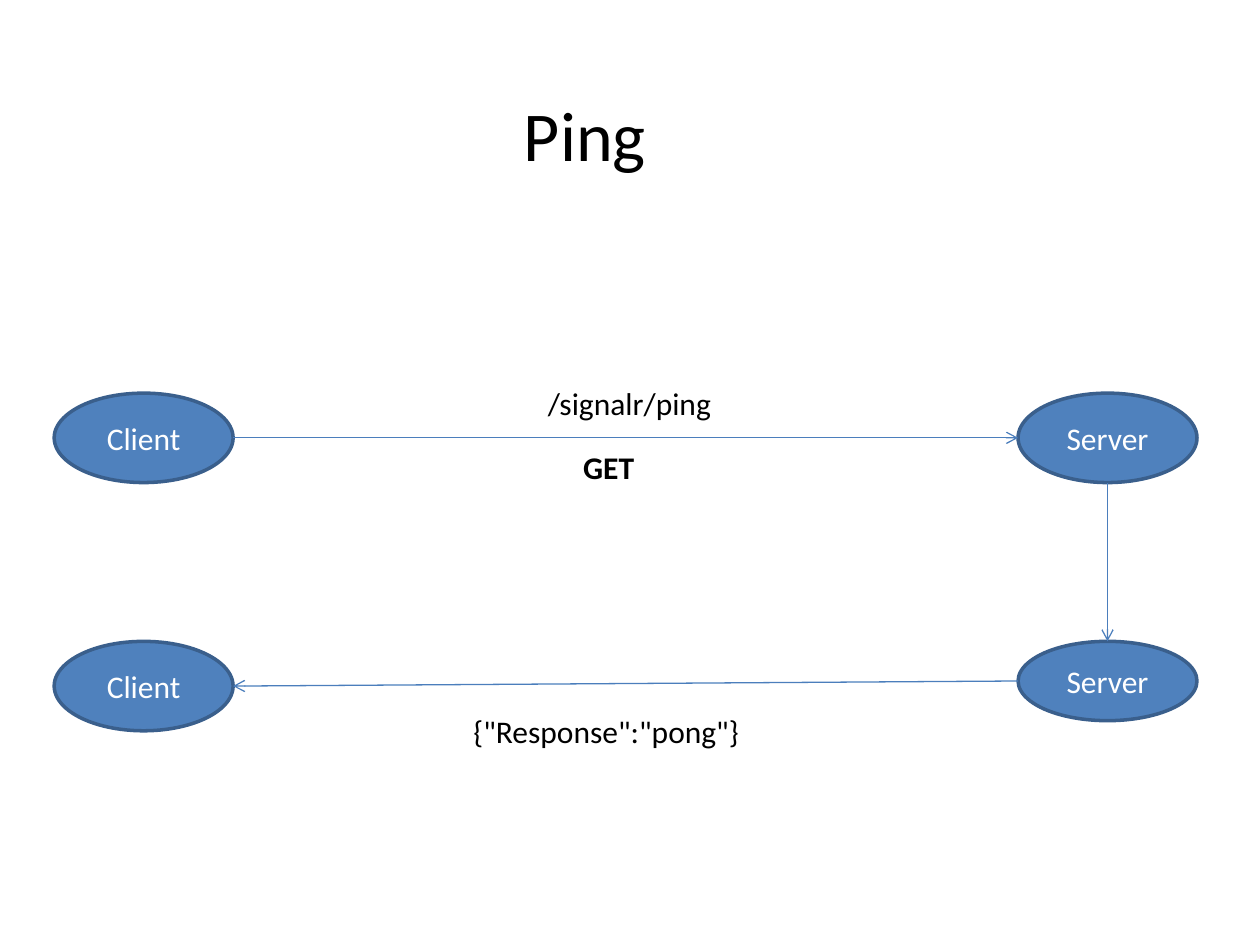
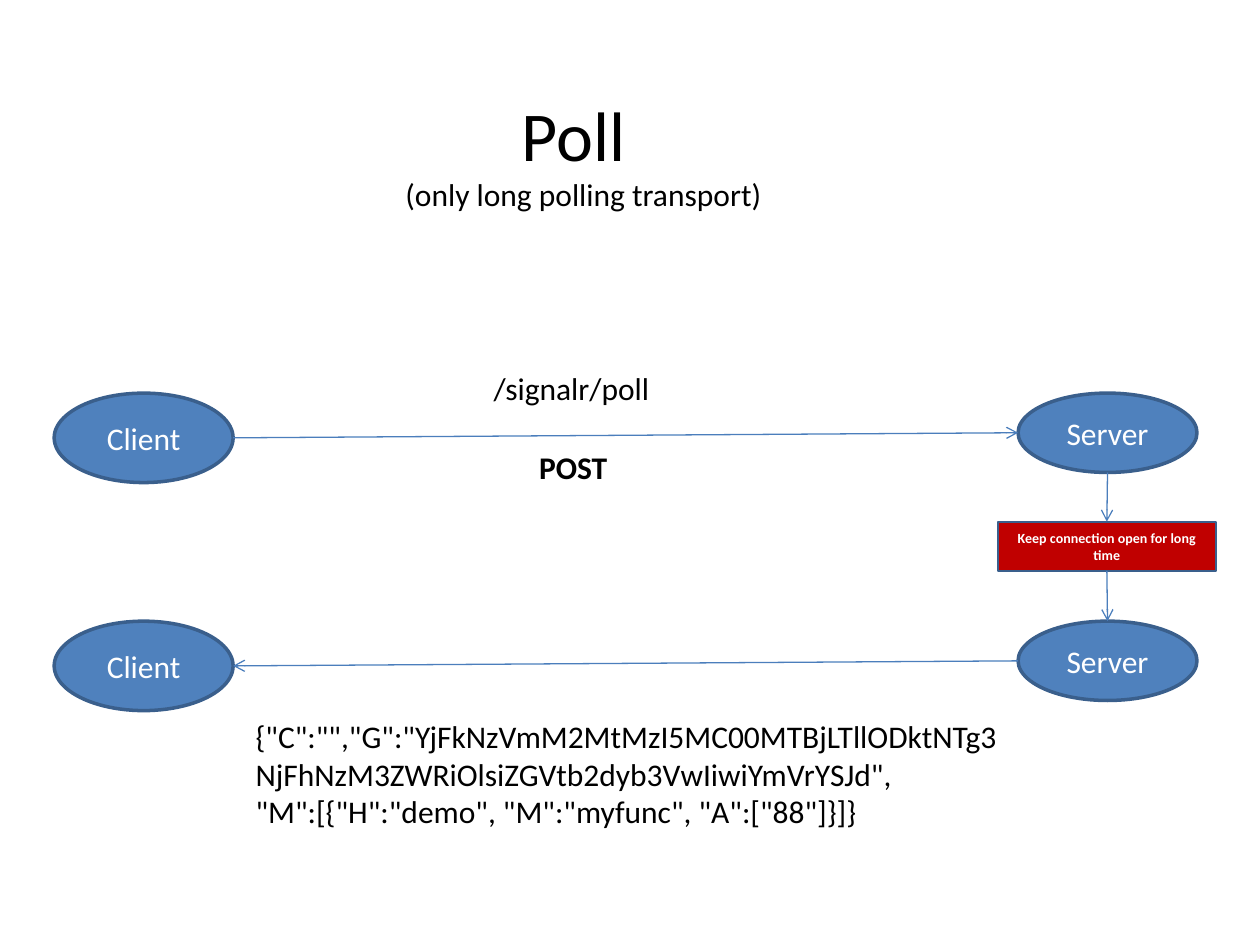
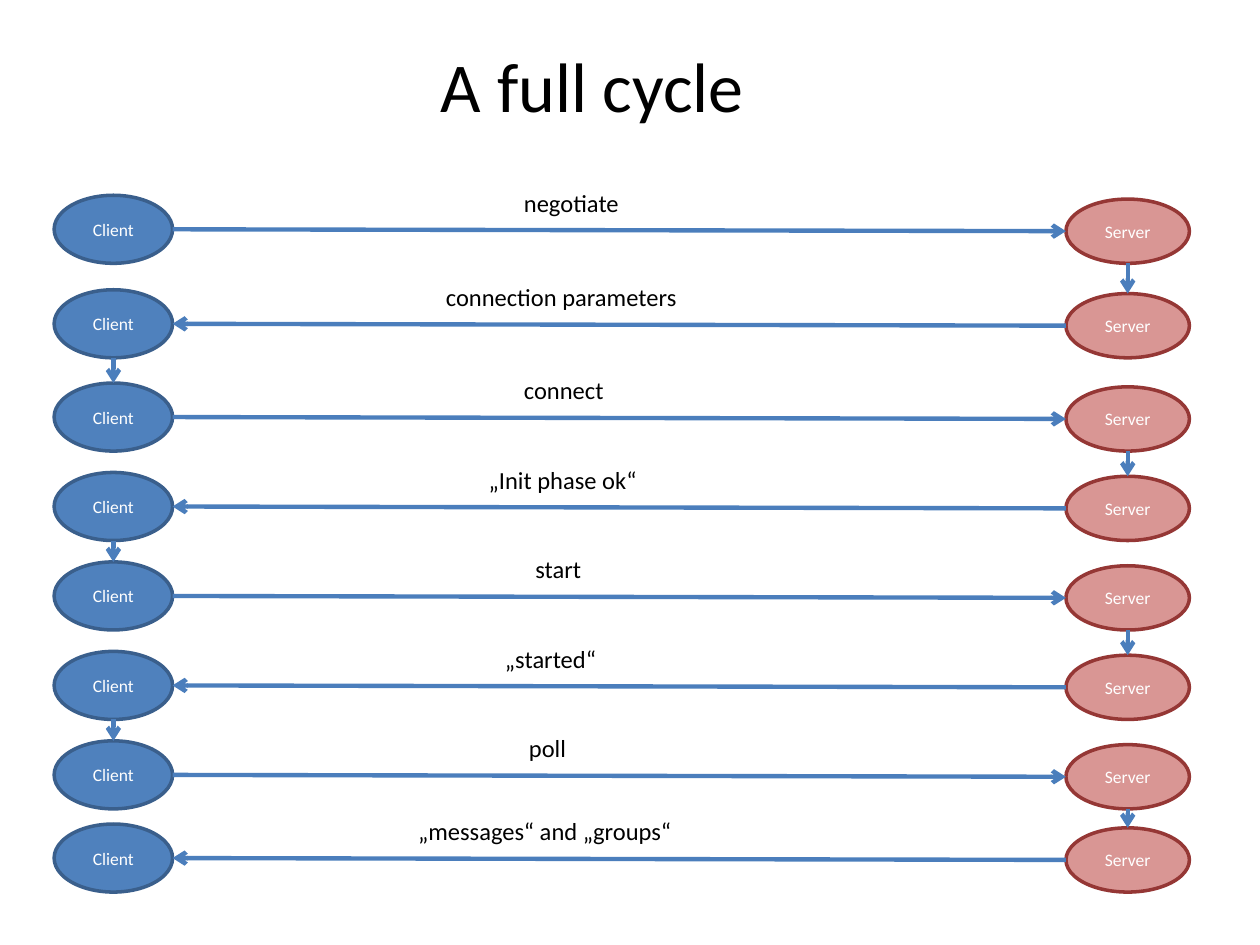
from dataclasses import dataclass

from lxml import etree
from pptx import Presentation
from pptx.dml.color import RGBColor
from pptx.enum import shapes, text
from pptx.oxml.ns import qn
from pptx.util import Inches, Pt


@dataclass(frozen=True)
class Theme:
    """Colours, font and type sizes shared by the slides."""
    font: str = "Calibri"
    ink: str = "000000"
    light: str = "FFFFFF"
    blue: str = "4F81BD"
    blue_edge: str = "3A5F8C"
    rose: str = "D99694"
    rose_edge: str = "953735"
    alert: str = "C00000"
    arrow: str = "4B7EBC"
    title: int = 40
    body: int = 18
    step: int = 14
    small: int = 10
    tiny: int = 8


THEME = Theme()
CLIENT_X, SERVER_X = 0.43, 8.08
NODE_W, CLIENT_H, SERVER_H = 1.42, 0.71, 0.63
REQUEST_Y = 3.12


def rgb(code):
    """Turn a hex code into a colour."""
    return RGBColor.from_string(code)


def style_text(frame, size, color, bold=False):
    """Format every run of a text frame."""
    for paragraph in frame.paragraphs:
        for run in paragraph.runs:
            run.font.name = THEME.font
            run.font.size = Pt(size)
            run.font.bold = bold
            run.font.color.rgb = rgb(color)


def add_label(slide, wording, box, size=THEME.body, bold=False):
    """Add unwrapped text in a box given as left, top, width, height."""
    frame = slide.shapes.add_textbox(*map(Inches, box)).text_frame
    frame.text = wording
    frame.word_wrap = False
    frame.auto_size = text.MSO_AUTO_SIZE.SHAPE_TO_FIT_TEXT
    style_text(frame, size, THEME.ink, bold)


def add_title(slide, wording, left, top, width):
    """Add the slide heading."""
    add_label(slide, wording, (left, top, width, 0.77), THEME.title)


def add_node(slide, wording, box, size=THEME.body, fill=THEME.blue,
             edge=THEME.blue_edge, kind=shapes.MSO_SHAPE.OVAL,
             edge_width=2, bold=False):
    """Add a filled shape with centred light text."""
    node = slide.shapes.add_shape(kind, *map(Inches, box))
    node.shadow.inherit = False
    node.fill.solid()
    node.fill.fore_color.rgb = rgb(fill)
    node.line.color.rgb = rgb(edge)
    node.line.width = Pt(edge_width)
    frame = node.text_frame
    frame.text = wording
    frame.word_wrap = True
    frame.vertical_anchor = text.MSO_ANCHOR.MIDDLE
    frame.paragraphs[0].alignment = text.PP_ALIGN.CENTER
    style_text(frame, size, THEME.light, bold)
    return node


def add_arrow(slide, start, end, width):
    """Draw a straight arrow between two points."""
    arrow = slide.shapes.add_connector(
        shapes.MSO_CONNECTOR.STRAIGHT, *start, *end)
    arrow.line.color.rgb = rgb(THEME.arrow)
    arrow.line.width = Pt(width)
    properties = arrow.element.spPr
    etree.SubElement(properties.find(qn("a:ln")), qn("a:tailEnd"), type="arrow")
    etree.SubElement(properties, qn("a:effectLst"))


def link_across(slide, client, server, to_server, width=0.75):
    """Join the facing sides of a client and a server."""
    ends = [(client.left + client.width, client.top + client.height // 2),
            (server.left, server.top + server.height // 2)]
    add_arrow(slide, *(ends if to_server else ends[::-1]), width)


def link_down(slide, upper, lower, width=0.75):
    """Join the bottom of one node to the top of the next."""
    add_arrow(slide, (upper.left + upper.width // 2, upper.top + upper.height),
              (lower.left + lower.width // 2, lower.top), width)


def add_exchange(slide, reply_y, request_server_h):
    """Add a request and its reply; return both server nodes."""
    servers = []
    rows = ((REQUEST_Y, request_server_h, True), (reply_y, SERVER_H, False))
    for top, server_h, to_server in rows:
        client = add_node(slide, "Client", (CLIENT_X, top, NODE_W, CLIENT_H))
        server = add_node(slide, "Server", (SERVER_X, top, NODE_W, server_h))
        link_across(slide, client, server, to_server)
        servers.append(server)
    return servers


def build_ping(slide):
    """Ping: a request and an immediate answer."""
    add_title(slide, "Ping", 4.06, 0.68, 1.18)
    link_down(slide, *add_exchange(slide, 5.09, CLIENT_H))
    add_label(slide, "/signalr/ping", (4.25, 3, 1.51, 0.4))
    add_label(slide, "GET", (4.53, 3.51, 0.61, 0.4), bold=True)
    add_label(slide, '{"Response":"pong"}', (3.66, 5.6, 2.33, 0.4))


def build_poll(slide):
    """Poll: the server holds the connection before it answers."""
    add_title(slide, "Poll", 4.04, 0.68, 1.03)
    add_label(slide, "(only long polling transport)", (3.12, 1.34, 3.06, 0.4))
    asked, answering = add_exchange(slide, 4.93, SERVER_H)
    hold = add_node(slide, "Keep connection open for long time",
                    (7.92, 4.14, 1.73, 0.39), THEME.tiny, THEME.alert,
                    kind=shapes.MSO_SHAPE.RECTANGLE, edge_width=1, bold=True)
    link_down(slide, asked, hold)
    link_down(slide, hold, answering)
    add_label(slide, "/signalr/poll", (3.82, 2.88, 1.45, 0.4))
    add_label(slide, "POST", (4.18, 3.51, 0.75, 0.4), bold=True)
    message = (
        '{"C":"","G":"YjFkNzVmM2MtMzI5MC00MTBjLTllODktNTg3',
        'NjFhNzM3ZWRiOlsiZGVtb2dyb3VwIiwiYmVrYSJd",',
        '"M":[{"H":"demo", "M":"myfunc", "A":["88"]}]}',
    )
    add_label(slide, "\n".join(message), (1.93, 5.64, 6.15, 1.01))


def build_cycle(slide):
    """Full cycle: requests and replies take turns down the slide."""
    add_title(slide, "A full cycle", 3.4, 0.29, 2.63)
    steps = (  # wording, row top, label left, label width
        ("negotiate", 1.55, 4.06, 0.97),
        ("connection parameters", 2.3, 3.44, 2.05),
        ("connect", 3.04, 4.06, 0.84),
        ("„Init phase ok“", 3.75, 3.78, 1.39),
        ("start", 4.46, 4.15, 0.57),
        ("„started“", 5.17, 3.91, 0.94),
        ("poll", 5.88, 4.1, 0.5),
        ("„messages“ and „groups“", 6.54, 3.22, 2.23),
    )
    line_width = 2.5
    last_client = last_server = None
    for index, (wording, top, label_x, label_w) in enumerate(steps):
        is_request = index % 2 == 0
        client = add_node(slide, "Client", (CLIENT_X, top, 0.94, 0.54),
                          THEME.small)
        server = add_node(slide, "Server", (8.46, top + 0.03, 0.98, 0.51),
                          THEME.small, THEME.rose, THEME.rose_edge)
        link_across(slide, client, server, is_request, line_width)
        add_label(slide, wording, (label_x, top - 0.11, label_w, 0.34),
                  THEME.step)
        if not is_request:
            link_down(slide, last_server, server, line_width)
        elif last_client is not None:
            link_down(slide, last_client, client, line_width)
        last_client, last_server = client, server


def main():
    """Build the three slides and save them."""
    deck = Presentation()
    deck.slide_width, deck.slide_height = Inches(10), Inches(7.5)
    blank = deck.slide_layouts[6]
    for build in (build_ping, build_poll, build_cycle):
        build(deck.slides.add_slide(blank))
    deck.save("out.pptx")


main()
